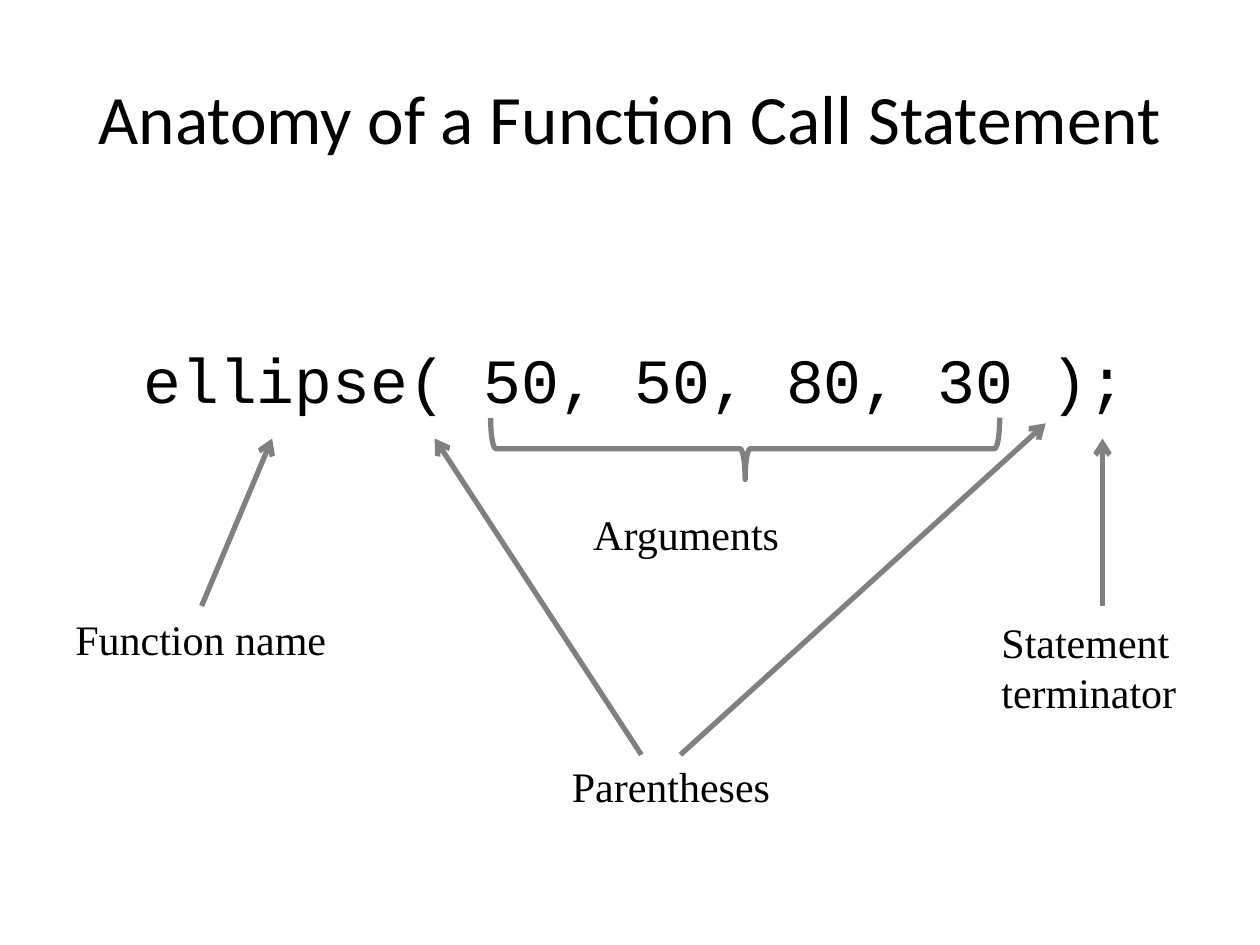
from lxml import etree
from pptx import Presentation
from pptx.dml.color import RGBColor
from pptx.enum.shapes import MSO_CONNECTOR, MSO_SHAPE
from pptx.enum.text import MSO_ANCHOR, PP_ALIGN
from pptx.oxml.ns import qn
from pptx.util import Pt

STRAIGHT = MSO_CONNECTOR.STRAIGHT
LEFT_BRACE = MSO_SHAPE.LEFT_BRACE
MIDDLE, TOP = MSO_ANCHOR.MIDDLE, MSO_ANCHOR.TOP
CENTER, LEFT = PP_ALIGN.CENTER, PP_ALIGN.LEFT
SERIF = "Times New Roman"


def color(value):
    return RGBColor.from_string(value)


def style_line(line):
    line.color.rgb = color("808080")
    line.width = Pt(3)


deck = Presentation()
deck.slide_width, deck.slide_height = Pt(720), Pt(540)
page = deck.slides.add_slide(deck.slide_layouts[6])

arrows = [
    (115.2, 346.3, 155.5, 250.6),
    (366.5, 431.3, 248.4, 250.6),
    (388.8, 431.3, 597.6, 241.9),
    (630, 346.3, 630, 250.6),
]
for ends in arrows:
    arrow = page.shapes.add_connector(STRAIGHT, *map(Pt, ends))
    style_line(arrow.line)
    etree.SubElement(arrow.line._get_or_add_ln(), qn("a:tailEnd"), type="arrow")
    etree.SubElement(arrow._element.spPr, qn("a:effectLst"))

brace = page.shapes.add_shape(LEFT_BRACE, Pt(408.2), Pt(110.9), Pt(35.3), Pt(290.9))
brace.rotation = 270
brace.shadow.inherit = False
brace.fill.background()
style_line(brace.line)

texts = [
    ("Anatomy of a Function Call Statement", 36, 21.6, 648, 90, "Calibri", 39.6, CENTER, MIDDLE, True),
    ("ellipse( 50, 50, 80, 30 );", 74.9, 190.8, 581.8, 51.1, "Courier New", 36, LEFT, TOP, False),
    ("Function name", 36, 347, 159.1, 36, SERIF, 24, LEFT, TOP, False),
    ("Parentheses", 319.7, 431.3, 128.9, 36, SERIF, 24, LEFT, TOP, False),
    ("Arguments", 331.9, 287.3, 123.1, 36, SERIF, 24, LEFT, TOP, False),
    ("Statement\nterminator", 565.2, 348.5, 115.2, 65.5, SERIF, 24, LEFT, TOP, False),
]
for words, left, top, width, height, font, size, align, anchor, wrap in texts:
    box = page.shapes.add_textbox(Pt(left), Pt(top), Pt(width), Pt(height))
    frame = box.text_frame
    frame.word_wrap = wrap
    frame.vertical_anchor = anchor
    frame.text = words
    for para in frame.paragraphs:
        para.alignment = align
        for span in para.runs:
            span.font.name = font
            span.font.size = Pt(size)
            span.font.color.rgb = color("000000")

deck.save("out.pptx")
